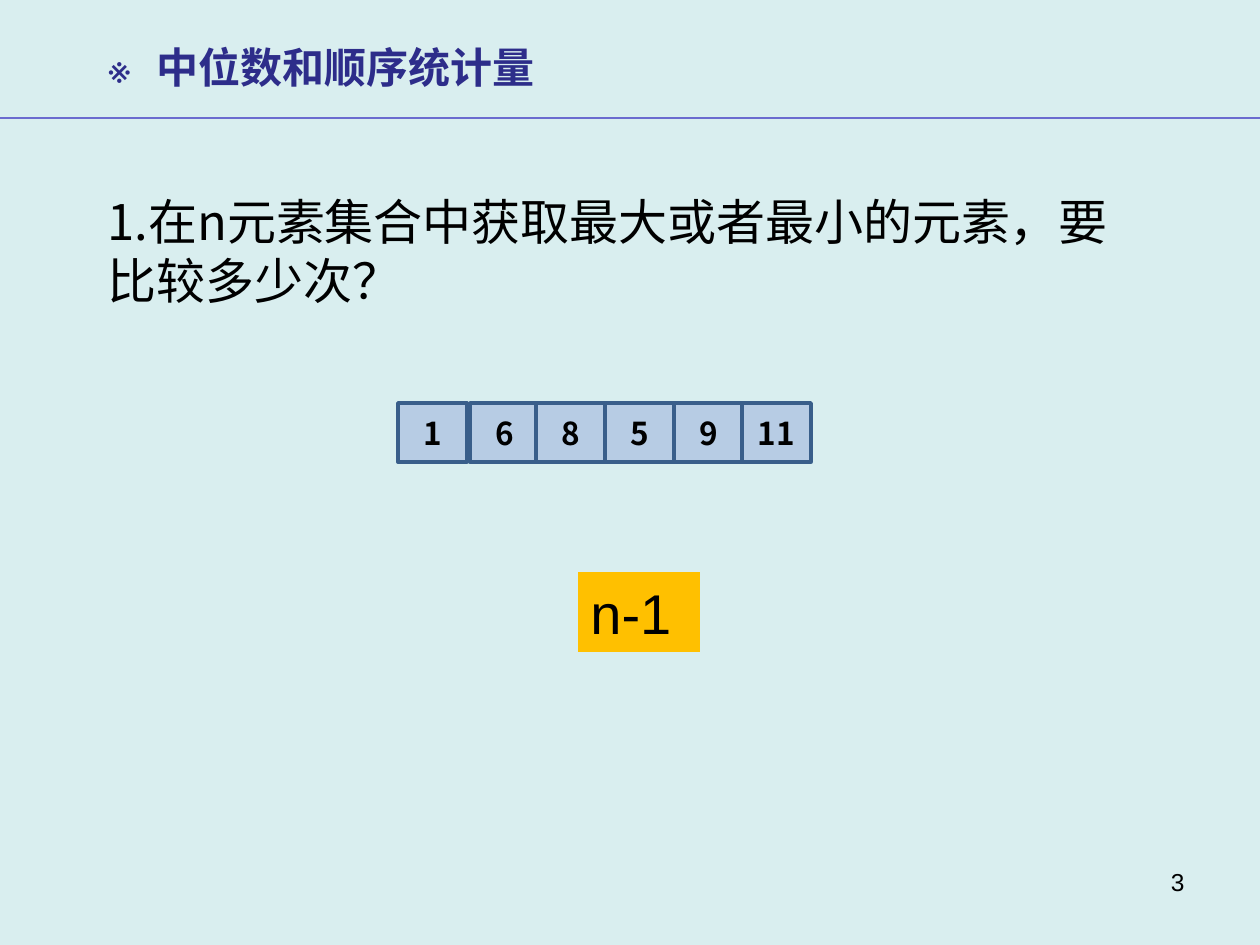
from dataclasses import dataclass

from lxml import etree
from pptx import Presentation
from pptx import util as u
from pptx.dml.color import RGBColor
from pptx.enum import shapes, text
from pptx.oxml.ns import qn

PX = u.Inches(1) / 126
CJK = "Noto Sans CJK SC"
COLORS = {
    "background": "D9EEEF",
    "rule": "6B6BCF",
    "title": "2D2D8A",
    "text": "000000",
    "cell": "B7CCE4",
    "cell_line": "395E8A",
    "answer": "FFC000",
}


@dataclass(frozen=True)
class Box:
    left: int
    top: int
    width: int
    height: int


@dataclass(frozen=True)
class Style:
    size: int
    font: str = "Arial"
    color: str = "text"
    bold: bool = False
    align: text.PP_ALIGN = text.PP_ALIGN.LEFT
    anchor: text.MSO_ANCHOR = text.MSO_ANCHOR.TOP


@dataclass(frozen=True)
class Cell:
    value: str
    left: int


CELLS = [
    Cell("1", 398),
    Cell("6", 470),
    Cell("8", 536),
    Cell("5", 605),
    Cell("9", 674),
    Cell("11", 742),
]


def px(n: int) -> int:
    return round(n * PX)


def rgb(name: str) -> RGBColor:
    return RGBColor.from_string(COLORS[name])


def place(sp, box: Box) -> None:
    sp.left, sp.top = px(box.left), px(box.top)
    sp.width, sp.height = px(box.width), px(box.height)


def write(sp, words: str, style: Style) -> None:
    tf = sp.text_frame
    tf.word_wrap = True
    tf.auto_size = text.MSO_AUTO_SIZE.NONE
    tf.vertical_anchor = style.anchor
    tf.text = words
    p = tf.paragraphs[0]
    p.alignment = style.align
    p.space_before = u.Pt(0)
    f = p.font
    f.size, f.name, f.bold = u.Pt(style.size), style.font, style.bold
    f.color.rgb = rgb(style.color)
    pPr = p._p.get_or_add_pPr()
    east_asian = etree.SubElement(pPr.find(qn("a:defRPr")), qn("a:ea"))
    east_asian.set("typeface", style.font)
    r = p.runs[0]
    r.font.size, r.font.name, r.font.bold = f.size, f.name, f.bold
    r.font.color.rgb = f.color.rgb
    etree.SubElement(r._r.rPr, qn("a:ea")).set("typeface", style.font)


def remove_bullet(sp) -> None:
    pPr = sp.text_frame.paragraphs[0]._p.get_or_add_pPr()
    pPr.set("marL", "0")
    pPr.set("indent", "0")
    pPr.find(qn("a:defRPr")).addprevious(etree.Element(qn("a:buNone")))


def add_text(s, box: Box, words: str, style: Style) -> None:
    sp = s.shapes.add_textbox(0, 0, 0, 0)
    place(sp, box)
    write(sp, words, style)


def add_rect(s, box: Box, words: str, style: Style, fill: str, line: str = "") -> None:
    sp = s.shapes.add_shape(shapes.MSO_SHAPE.RECTANGLE, 0, 0, 0, 0)
    place(sp, box)
    sp.shadow.inherit = False
    sp.fill.solid()
    sp.fill.fore_color.rgb = rgb(fill)
    if line:
        sp.line.color.rgb = rgb(line)
        sp.line.width = u.Pt(2)
    else:
        sp.line.fill.background()
    write(sp, words, style)


def add_rule(s, y: int, width: int) -> None:
    line = s.shapes.add_connector(shapes.MSO_CONNECTOR.STRAIGHT, 0, px(y), px(width), px(y))
    line.line.color.rgb = rgb("rule")
    line.line.width = u.Pt(1.25)
    etree.SubElement(line._element.spPr, qn("a:effectLst"))


def main() -> None:
    prs = Presentation()
    prs.slide_width, prs.slide_height = px(1260), px(945)
    s = prs.slides.add_slide(prs.slide_layouts[1])
    s.background.fill.solid()
    s.background.fill.fore_color.rgb = rgb("background")

    add_rule(s, 118, 1260)

    title, question = s.placeholders
    place(title, Box(144, 35, 615, 63))
    write(title, "中位数和顺序统计量", Style(24, CJK, "title", True))
    add_text(s, Box(95, 35, 78, 63), "※", Style(24, color="title"))

    place(question, Box(95, 185, 1032, 131))
    write(question, "1.在n元素集合中获取最大或者最小的元素，要比较多少次？", Style(28, CJK))
    remove_bullet(question)

    add_rect(s, Box(578, 572, 122, 80), "n-1", Style(32), "answer")

    cell_style = Style(18, CJK, "text", True, text.PP_ALIGN.CENTER, text.MSO_ANCHOR.MIDDLE)
    for cell in CELLS:
        add_rect(s, Box(cell.left, 403, 69, 59), cell.value, cell_style, "cell", "cell_line")

    add_text(s, Box(903, 861, 294, 65), "3", Style(14, align=text.PP_ALIGN.RIGHT))
    prs.save("out.pptx")


if __name__ == "__main__":
    main()
